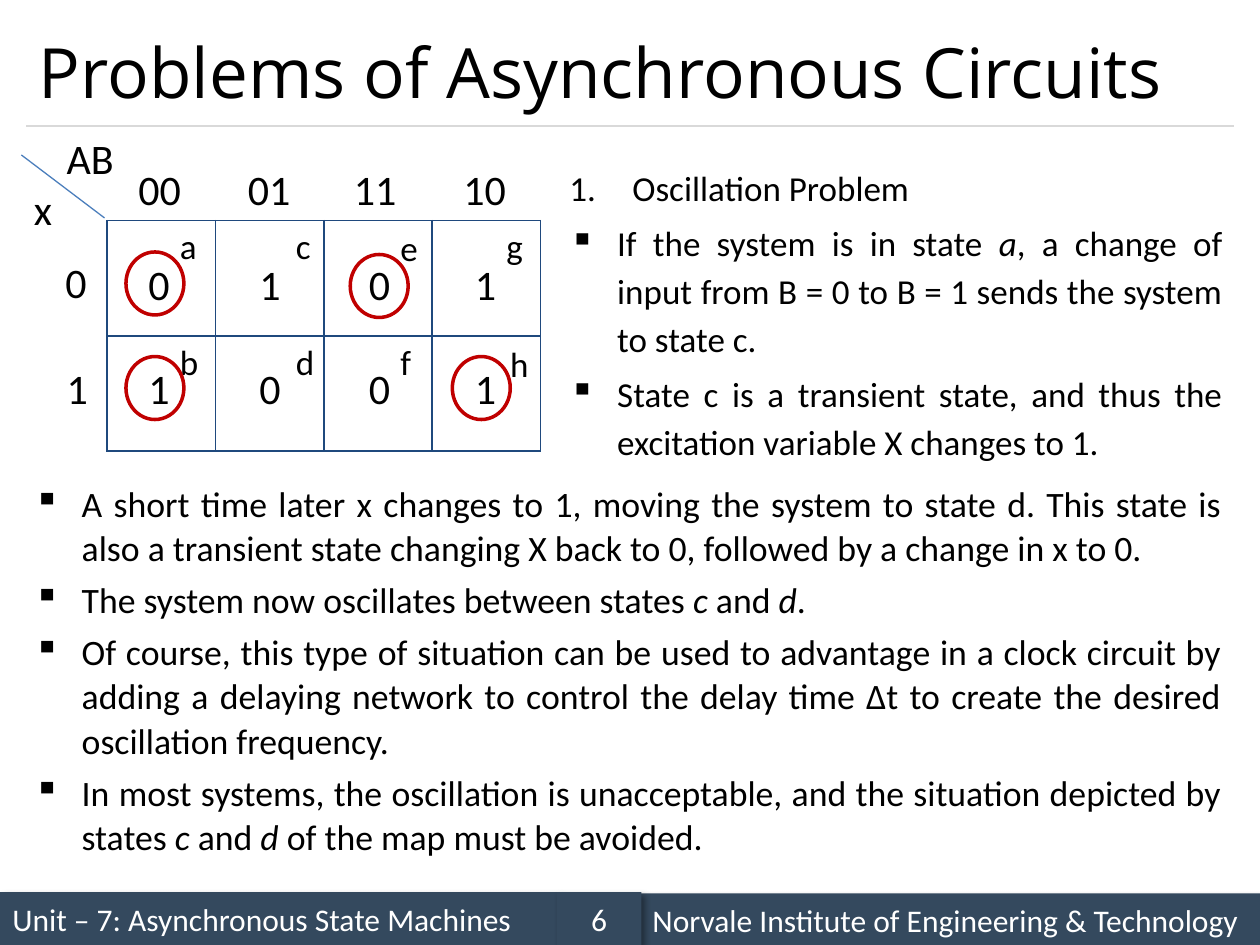
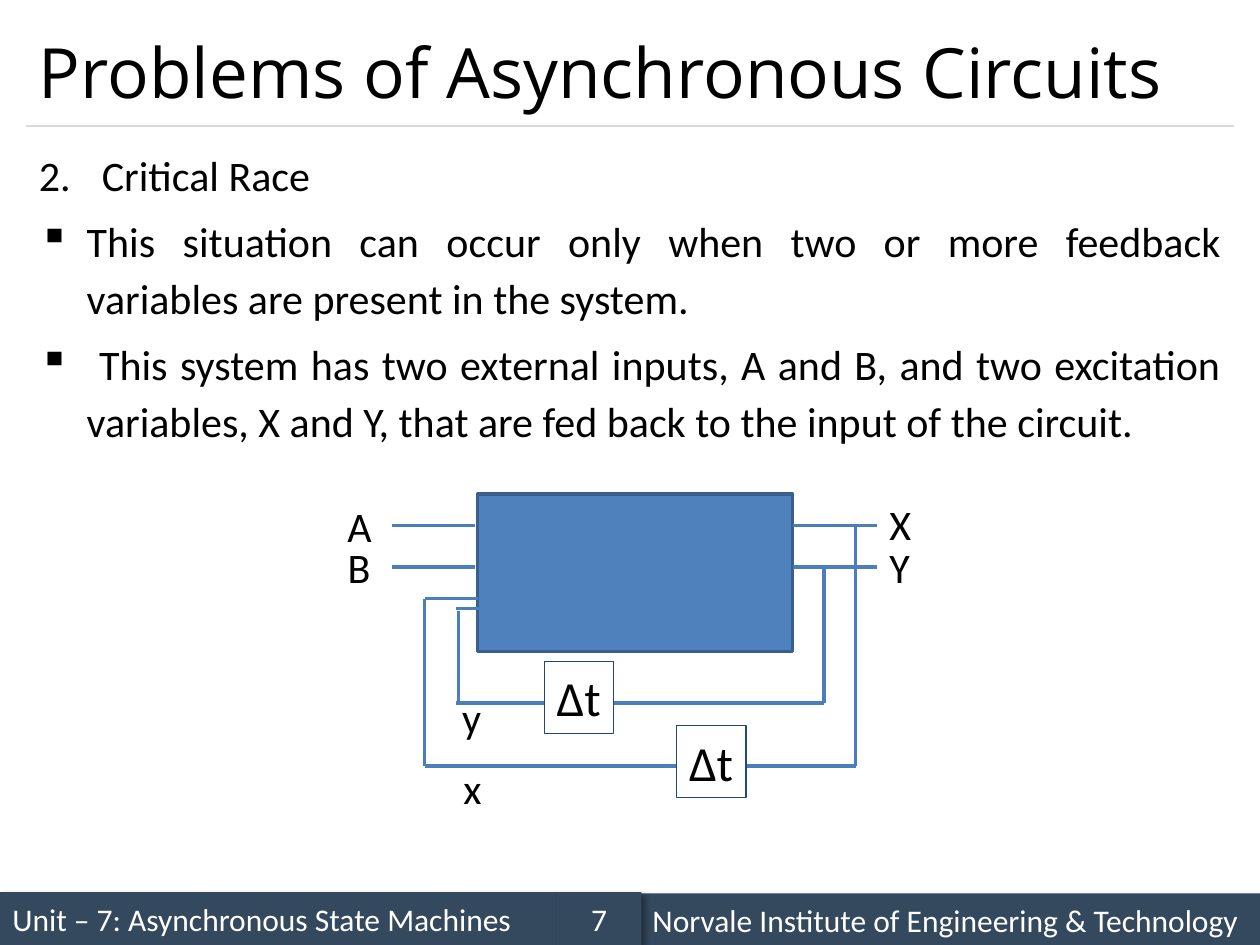
from dataclasses import dataclass
from typing import Optional, Sequence

from lxml import etree
from pptx import Presentation
from pptx.dml.color import RGBColor
from pptx.enum.shapes import MSO_CONNECTOR, MSO_SHAPE
from pptx.enum.text import MSO_ANCHOR, MSO_AUTO_SIZE, PP_ALIGN
from pptx.oxml.ns import qn
from pptx.util import Inches, Pt

RECTANGLE = MSO_SHAPE.RECTANGLE
OVAL = MSO_SHAPE.OVAL
STRAIGHT = MSO_CONNECTOR.STRAIGHT
MIDDLE = MSO_ANCHOR.MIDDLE
GROW = MSO_AUTO_SIZE.SHAPE_TO_FIT_TEXT
LEFT, CENTER, JUSTIFY = PP_ALIGN.LEFT, PP_ALIGN.CENTER, PP_ALIGN.JUSTIFY


@dataclass(frozen=True)
class Theme:
    text: str = "000000"
    light: str = "FFFFFF"
    band: str = "34495E"
    rule: str = "D9D9D9"
    wire: str = "4B7EBC"
    block: str = "4F81BD"
    block_edge: str = "3A5F8C"
    grid: str = "1F497D"
    ring: str = "C00000"
    heading_font: str = "Open Sans"
    body_font: str = "Calibri"
    heading: float = 39.6
    delay: float = 28
    large: float = 24
    closing: float = 20.4
    small: float = 20
    footer: float = 18


THEME = Theme()


@dataclass(frozen=True)
class Box:
    left: float
    top: float
    width: float
    height: float

    def lengths(self) -> tuple:
        return tuple(map(Inches, (self.left, self.top, self.width, self.height)))


@dataclass(frozen=True)
class Band:
    box: Box
    text: str
    align: PP_ALIGN = LEFT


@dataclass(frozen=True)
class Label:
    text: str
    left: float
    top: float
    width: float
    size: float = THEME.large


@dataclass(frozen=True)
class Wire:
    x1: float
    y1: float
    x2: float
    y2: float


@dataclass(frozen=True)
class Point:
    phrases: Sequence[str]
    number: Optional[int] = None


TITLE = "Problems of Asynchronous Circuits"
UNIT = Band(Box(0, 7.08, 4.42, 0.42), "Unit – 7: Asynchronous State Machines")
INSTITUTE = Band(Box(5.08, 7.09, 4.92, 0.42),
                 "Norvale Institute of Engineering & Technology")
PAGE_BOX = Box(4.42, 7.08, 0.67, 0.42)

OSCILLATION = (
    Point(("Oscillation Problem",), 1),
    Point(("If the system is in state ", "a",
           ", a change of input from B = 0 to B = 1 sends the system to state c.")),
    Point(("State c is a transient state, and thus the excitation variable X "
           "changes to 1.",)),
)
CONSEQUENCES = (
    Point(("A short time later x changes to 1, moving the system to state d. "
           "This state is also a transient state changing X back to 0, followed "
           "by a change in x to 0.",)),
    Point(("The system now oscillates between states ", "c", " and ", "d", ".")),
    Point(("Of course, this type of situation can be used to advantage in a clock "
           "circuit by adding a delaying network to control the delay time Δt to "
           "create the desired oscillation frequency.",)),
    Point(("In most systems, the oscillation is unacceptable, and the situation "
           "depicted by states ", "c", " and ", "d", " of the map must be avoided.")),
)
CRITICAL_RACE = (
    Point(("Critical Race",), 2),
    Point(("This situation can occur only when two or more feedback variables "
           "are present in the system.",)),
    Point((" This system has two external inputs, A and B, and two excitation "
           "variables, X and Y, that are fed back to the input of the circuit.",)),
)

MAP_BOX = Box(0.85, 1.75, 3.44, 1.83)
MAP_CODES = ("00", "01", "11", "10")
MAP_CODE_LEFTS = (1, 1.87, 2.71, 3.58)
MAP_VALUE_LEFTS = (1.08, 1.96, 2.83, 3.67)
MAP_VALUES = ((2, "0101"), (2.83, "1001"))
MAP_AXES = (
    Label("AB", 0.43, 1, 0.58),
    Label("x", 0.17, 1.41, 0.35),
    Label("0", 0.42, 1.99, 0.37),
    Label("1", 0.43, 2.83, 0.37),
)
MAP_STATES = (
    Label("a", 1.33, 1.73, 0.34, THEME.small),
    Label("b", 1.33, 2.65, 0.35, THEME.small),
    Label("c", 2.25, 1.73, 0.32, THEME.small),
    Label("d", 2.25, 2.65, 0.35, THEME.small),
    Label("e", 3.08, 1.75, 0.34, THEME.small),
    Label("f", 3.08, 2.65, 0.29, THEME.small),
    Label("g", 3.92, 1.73, 0.34, THEME.small),
    Label("h", 3.95, 2.67, 0.35, THEME.small),
)
STABLE_RINGS = ((1, 2), (2.78, 2.02), (1, 2.83), (3.59, 2.83))

CIRCUIT_BOX = Box(3.79, 3.92, 2.5, 1.25)
PORT_WIRES = tuple(Wire(left, row, right, row)
                   for left, right in ((3.11, 3.77), (6.29, 6.96))
                   for row in (4.17, 4.5))
FEEDBACK_WIRES = (
    Wire(6.79, 6.08, 6.79, 4.17),
    Wire(6.54, 5.58, 6.54, 4.5),
    Wire(3.62, 5.58, 6.54, 5.58),
    Wire(3.64, 5.58, 3.64, 4.85),
    Wire(3.37, 6.08, 6.79, 6.08),
    Wire(3.37, 6.08, 3.37, 4.75),
    Wire(3.62, 4.83, 3.82, 4.83),
    Wire(3.37, 4.75, 3.79, 4.75),
)
DELAYS = (Box(5.37, 5.76, 0.55, 0.57), Box(4.32, 5.25, 0.55, 0.57))
SIGNALS = (
    Label("X", 6.96, 3.91, 0.38),
    Label("Y", 6.96, 4.25, 0.38),
    Label("A", 2.66, 3.92, 0.4),
    Label("B", 2.66, 4.25, 0.38),
    Label("x", 3.58, 6, 0.35),
    Label("y", 3.57, 5.44, 0.35),
)


def rgb(color: str) -> RGBColor:
    return RGBColor.from_string(color)


def add_run(paragraph, text: str, size: float, color: str = THEME.text,
            font: str = THEME.body_font, italic: bool = False) -> None:
    run = paragraph.add_run()
    run.text = text
    run.font.size = Pt(size)
    run.font.name = font
    run.font.italic = italic
    run.font.color.rgb = rgb(color)


def add_outline(slide, preset: MSO_SHAPE, box: Box, fill: Optional[str],
                line: Optional[str], weight: float = 2):
    shape = slide.shapes.add_shape(preset, *box.lengths())
    shape.shadow.inherit = False
    if fill:
        shape.fill.solid()
        shape.fill.fore_color.rgb = rgb(fill)
    else:
        shape.fill.background()
    if line:
        shape.line.color.rgb = rgb(line)
        shape.line.width = Pt(weight)
    else:
        shape.line.fill.background()
    return shape


def add_wire(slide, wire: Wire, color: str = THEME.wire, weight: float = 2) -> None:
    ends = map(Inches, (wire.x1, wire.y1, wire.x2, wire.y2))
    connector = slide.shapes.add_connector(STRAIGHT, *ends)
    connector.line.color.rgb = rgb(color)
    connector.line.width = Pt(weight)
    etree.SubElement(connector._element.spPr, qn("a:effectLst"))


def add_band(slide, band: Band) -> None:
    shape = add_outline(slide, RECTANGLE, band.box, THEME.band, None)
    effects = shape._element.spPr.find(qn("a:effectLst"))
    shadow = etree.SubElement(effects, qn("a:outerShdw"), blurRad=str(Pt(4)),
                              dist=str(Pt(3)), dir=str(45 * 60000),
                              algn="tl", rotWithShape="0")
    tint = etree.SubElement(shadow, qn("a:srgbClr"), val=THEME.text)
    etree.SubElement(tint, qn("a:alpha"), val="40000")
    shape.text_frame.vertical_anchor = MIDDLE
    paragraph = shape.text_frame.paragraphs[0]
    paragraph.alignment = band.align
    add_run(paragraph, band.text, THEME.footer, THEME.light)


def fit_text(frame, text: str, size: float) -> None:
    frame.word_wrap = False
    frame.auto_size = GROW
    frame.paragraphs[0].alignment = LEFT
    add_run(frame.paragraphs[0], text, size)


def add_label(slide, label: Label) -> None:
    height = 0.5 if label.size == THEME.large else 0.44
    box = Box(label.left, label.top, label.width, height)
    fit_text(slide.shapes.add_textbox(*box.lengths()).text_frame,
             label.text, label.size)


def add_points(slide, box: Box, points: Sequence[Point], size: float,
               spacing: float = 1.14) -> None:
    frame = slide.shapes.add_textbox(*box.lengths()).text_frame
    frame.word_wrap = True
    for index, point in enumerate(points):
        paragraph = frame.add_paragraph() if index else frame.paragraphs[0]
        paragraph.alignment = JUSTIFY
        paragraph.line_spacing = spacing
        paragraph.space_before = Pt(0.2 * size)
        indent = Inches(0.5 if point.number else 0.38)
        properties = paragraph._p.get_or_add_pPr()
        properties.set("marL", str(indent))
        properties.set("indent", str(-indent))
        if point.number:
            etree.SubElement(properties, qn("a:buAutoNum"), type="arabicPeriod",
                             startAt=str(point.number))
        else:
            etree.SubElement(properties, qn("a:buChar"), char="▪")
        for position, phrase in enumerate(point.phrases):
            add_run(paragraph, phrase, size, italic=position % 2 == 1)


def add_map_grid(slide) -> None:
    grid = slide.shapes.add_table(2, len(MAP_CODES), *MAP_BOX.lengths()).table
    grid.first_row = grid.horz_banding = False
    for cell in grid.iter_cells():
        properties = cell._tc.get_or_add_tcPr()
        for side in ("a:lnL", "a:lnR", "a:lnT", "a:lnB"):
            border = etree.SubElement(properties, qn(side), w=str(Pt(1)))
            fill = etree.SubElement(border, qn("a:solidFill"))
            etree.SubElement(fill, qn("a:srgbClr"), val=THEME.grid)
        cell.fill.background()


def add_page(deck, number: int):
    slide = deck.slides.add_slide(deck.slide_layouts[6])
    add_band(slide, UNIT)
    add_wire(slide, Wire(0.21, 1, 9.79, 1), THEME.rule, 0.75)
    add_band(slide, INSTITUTE)
    add_band(slide, Band(PAGE_BOX, str(number), CENTER))
    frame = slide.shapes.add_textbox(*Box(0.21, 0.12, 9.58, 0.88).lengths()).text_frame
    frame.word_wrap = True
    frame.vertical_anchor = MIDDLE
    add_run(frame.paragraphs[0], TITLE, THEME.heading, font=THEME.heading_font)
    return slide


def build_oscillation(deck) -> None:
    slide = add_page(deck, 6)
    add_points(slide, Box(4.42, 1.23, 5.38, 2.53), OSCILLATION, THEME.small)
    add_map_grid(slide)
    add_wire(slide, Wire(0.83, 1.73, 0.17, 1.23), weight=0.75)
    codes = tuple(Label(code, left, 1.25, 0.54)
                  for code, left in zip(MAP_CODES, MAP_CODE_LEFTS))
    values = tuple(Label(value, left, top, 0.37)
                   for top, row in MAP_VALUES
                   for value, left in zip(row, MAP_VALUE_LEFTS))
    for label in MAP_AXES + codes + MAP_STATES + values:
        add_label(slide, label)
    for left, top in STABLE_RINGS:
        add_outline(slide, OVAL, Box(left, top, 0.46, 0.5), None, THEME.ring)
    add_points(slide, Box(0.17, 3.76, 9.62, 3.24), CONSEQUENCES, THEME.closing, 1.04)


def build_critical_race(deck) -> None:
    slide = add_page(deck, 7)
    add_points(slide, Box(0.21, 1.08, 9.58, 5.83), CRITICAL_RACE, THEME.large)
    add_outline(slide, RECTANGLE, CIRCUIT_BOX, THEME.block, THEME.block_edge)
    for wire in PORT_WIRES + FEEDBACK_WIRES:
        add_wire(slide, wire)
    for box in DELAYS:
        delay = add_outline(slide, RECTANGLE, box, THEME.light, THEME.grid, 0.75)
        fit_text(delay.text_frame, "Δt", THEME.delay)
    for signal in SIGNALS:
        add_label(slide, signal)


def main() -> None:
    deck = Presentation()
    deck.slide_width, deck.slide_height = Inches(10), Inches(7.5)
    build_oscillation(deck)
    build_critical_race(deck)
    deck.save("out.pptx")


if __name__ == "__main__":
    main()
